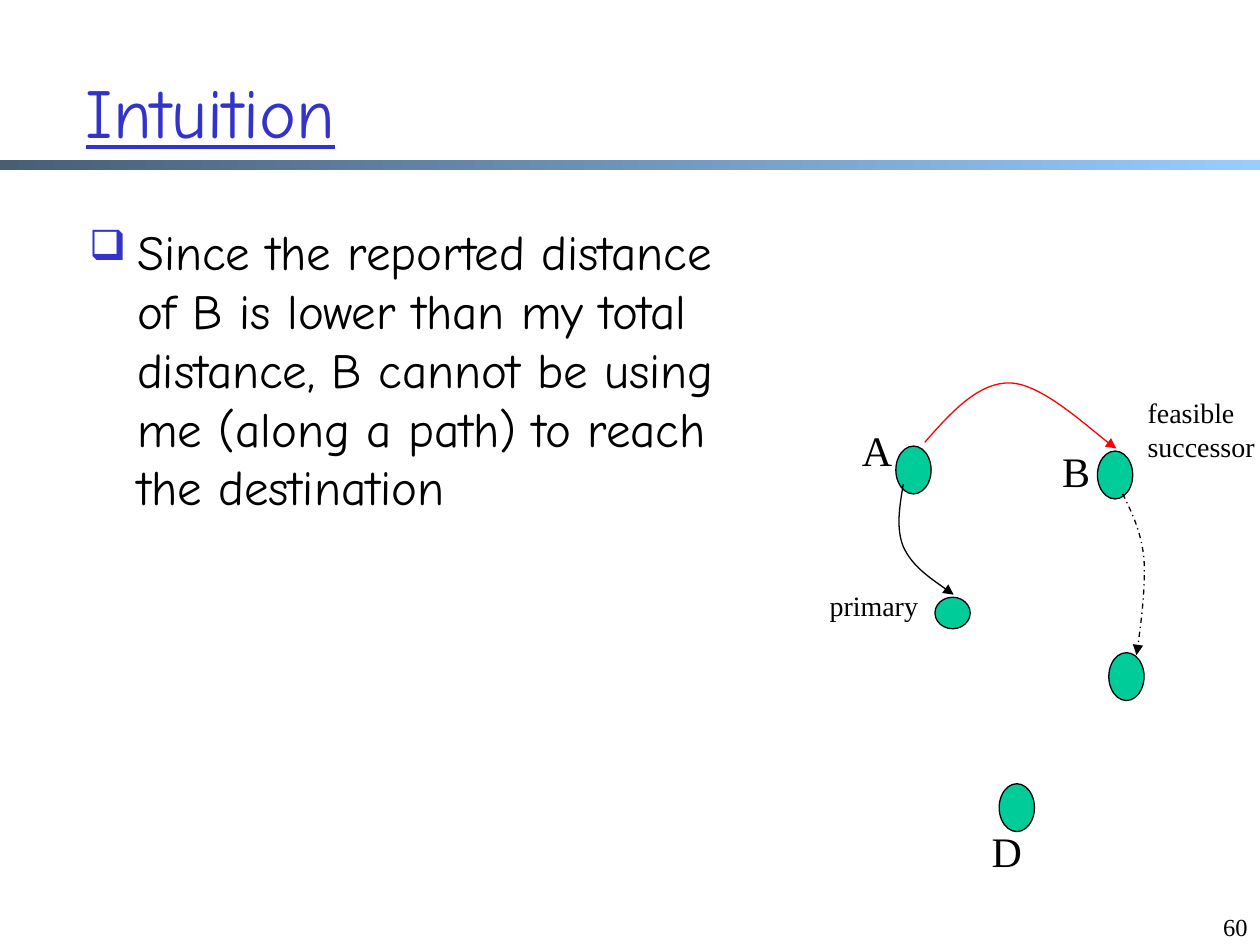
from lxml import etree
from pptx import Presentation
from pptx import util as u
from pptx.dml.color import RGBColor
from pptx.enum import dml, shapes, text
from pptx.oxml.ns import qn

HUES = {"ink": "000000", "blue": "3333CC", "node": "00CC99",
        "red": "FF0000", "dark": "475E76", "light": "99CCFF"}
SANS, SERIF = "Comic Neue", "Times New Roman"
LEFT, MID, RIGHT = text.PP_ALIGN.LEFT, text.PP_ALIGN.CENTER, text.PP_ALIGN.RIGHT
TITLE = "Intuition"
BODY = ("Since the reported distance of B is lower than my total distance, "
        "B cannot be using me (along a path) to reach the destination")
NODES = [(7.11, 3.54, 0.38), (8.71, 3.58, 0.38), (8.8, 5.18, 0.38),
         (7.93, 6.22, 0.38), (7.42, 4.74, 0.25)]
LABELS = [("A", (6.74, 3.32, 0.44, 0.5), 24, MID),
          ("B", (8.32, 3.49, 0.44, 0.5), 24, MID),
          ("D", (7.77, 6.5, 0.44, 0.5), 24, MID),
          ("feasible successor", (9.01, 3.09, 1.19, 0.97), 16, LEFT),
          ("primary", (6.34, 4.62, 1.19, 0.37), 16, MID),
          ("60", (9.25, 7.19, 0.75, 0.31), 14, RIGHT)]
CURVES = [
    ("red", None, [(7.34, 3.51), (7.55, 3.27), (7.77, 3.03), (8.02, 3.04),
                   (8.27, 3.05), (8.72, 3.47), (8.86, 3.56)]),
    ("ink", dml.MSO_LINE.DASH_DOT,
     [(8.91, 3.92), (8.99, 4.08), (9.06, 4.23), (9.08, 4.44),
      (9.09, 4.65), (9.06, 4.93), (9.02, 5.2)]),
    ("ink", None, [(7.17, 3.84), (7.14, 4.02), (7.11, 4.19), (7.17, 4.34),
                   (7.24, 4.49), (7.4, 4.6), (7.57, 4.72)]),
]


def hue(name):
    return RGBColor.from_string(HUES[name])


def style(para, size, face, name, align=LEFT):
    para.alignment = align
    font = para.font
    font.size, font.name = u.Pt(size), face
    font.color.rgb = hue(name)
    return font


def label(slide, words, box, size, face, align):
    frame = slide.shapes.add_textbox(*map(u.Inches, box)).text_frame
    frame.word_wrap = True
    para = frame.paragraphs[0]
    para.text = words
    style(para, size, face, "ink", align)
    return para


def bullet(para):
    props = para._p.get_or_add_pPr()
    props.set("marL", str(u.Inches(0.38)))
    props.set("indent", str(-u.Inches(0.38)))
    tint = etree.Element(qn("a:buClr"))
    etree.SubElement(tint, qn("a:srgbClr"), val=HUES["blue"])
    size = etree.Element(qn("a:buSzPct"), val="85000")
    mark = etree.Element(qn("a:buChar"), char="❑")
    for spot, item in enumerate((tint, size, mark)):
        props.insert(spot, item)


def outline(shape, name):
    shape.shadow.inherit = False
    shape.line.color.rgb = hue(name)
    shape.line.width = u.Pt(0.75)


def node(slide, left, top, high):
    oval = slide.shapes.add_shape(
        shapes.MSO_SHAPE.OVAL, *map(u.Inches, (left, top, 0.28, high)))
    oval.fill.solid()
    oval.fill.fore_color.rgb = hue("node")
    outline(oval, "ink")


def curve(slide, name, dash, points):
    spots = [(u.Inches(x), u.Inches(y)) for x, y in points]
    pen = slide.shapes.build_freeform(*spots[0])
    pen.add_line_segments(spots[1:], close=False)
    arc = pen.convert_to_shape()
    arc.fill.background()
    outline(arc, name)
    if dash:
        arc.line.dash_style = dash
    steps = list(arc._element.iter(qn("a:lnTo")))
    for start in range(0, len(steps), 3):
        trio = steps[start:start + 3]
        bend = etree.Element(qn("a:cubicBezTo"))
        trio[0].addprevious(bend)
        for step in trio:
            bend.append(step[0])
            step.getparent().remove(step)
    etree.SubElement(arc.line._get_or_add_ln(), qn("a:tailEnd"), type="triangle")


def main():
    deck = Presentation()
    deck.slide_width, deck.slide_height = u.Inches(10), u.Inches(7.5)
    slide = deck.slides.add_slide(deck.slide_layouts[5])

    band = slide.shapes.add_shape(
        shapes.MSO_SHAPE.RECTANGLE, *map(u.Inches, (0, 1.27, 10, 0.08)))
    band.shadow.inherit = False
    band.line.fill.background()
    band.fill.gradient()
    band.fill.gradient_angle = 0
    for stop, name in zip(band.fill.gradient_stops, ("dark", "light")):
        stop.color.rgb = hue(name)

    title = slide.shapes.title
    title.left, title.top, title.width, title.height = map(
        u.Inches, (0.58, 0.25, 8.78, 1.25))
    title.text = TITLE
    title.text_frame.vertical_anchor = text.MSO_ANCHOR.MIDDLE
    style(title.text_frame.paragraphs[0], 40, SANS, "blue").underline = True

    bullet(label(slide, BODY, (0.61, 1.71, 5.49, 5.31), 28, SANS, LEFT))
    for spot in NODES:
        node(slide, *spot)
    for name, dash, points in CURVES:
        curve(slide, name, dash, points)
    for words, box, size, align in LABELS:
        label(slide, words, box, size, SERIF, align)
    deck.save("out.pptx")


if __name__ == "__main__":
    main()
